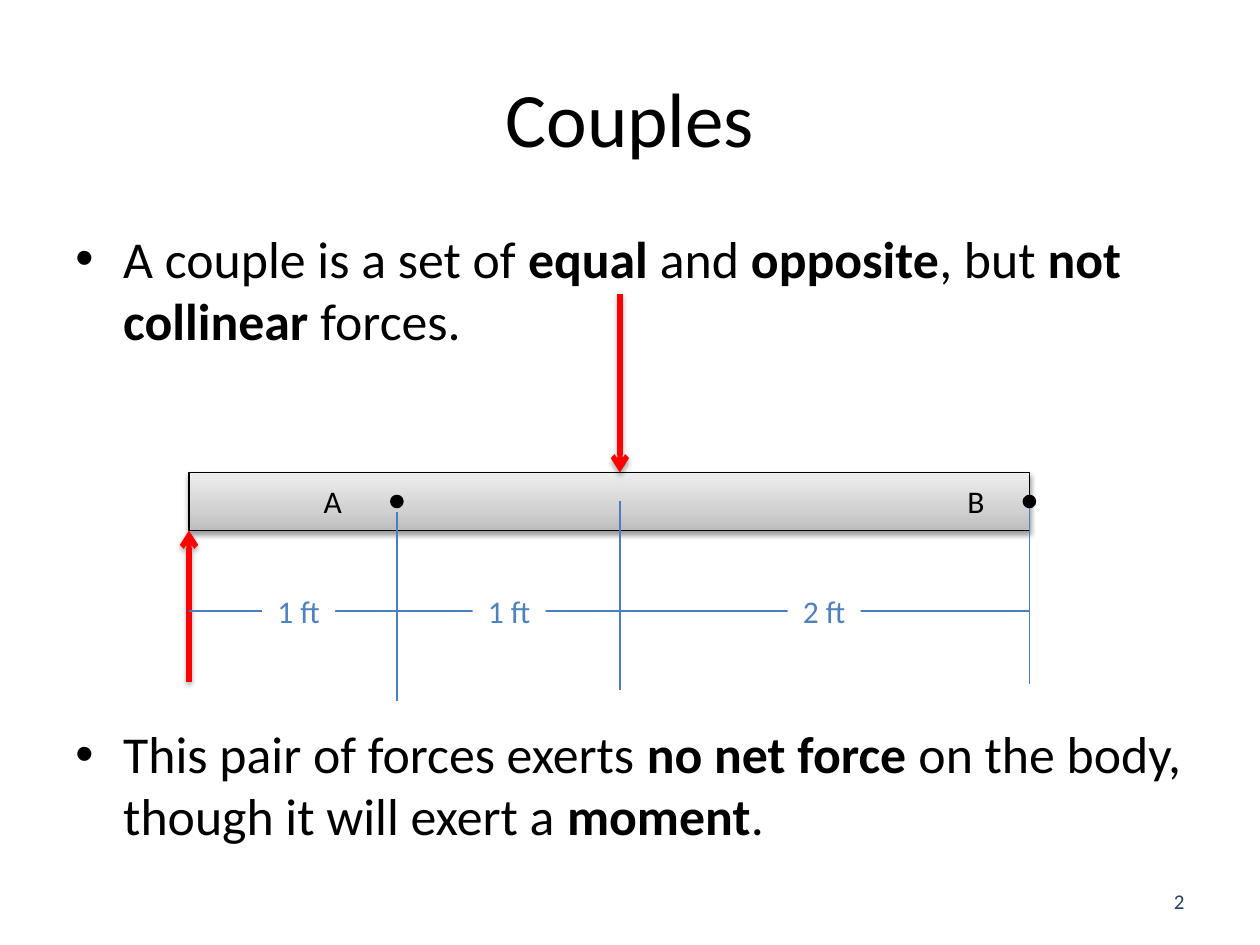
import copy

import pptx
import pptx.dml.color
import pptx.enum.shapes
import pptx.enum.text
import pptx.oxml
import pptx.oxml.ns
import pptx.util
from pptx.util import Inches

RGBColor = pptx.dml.color.RGBColor
SHAPE = pptx.enum.shapes.MSO_SHAPE
ALIGN = pptx.enum.text.PP_ALIGN
ANCHOR = pptx.enum.text.MSO_ANCHOR

BLACK = RGBColor(0, 0, 0)
WHITE = RGBColor(0xFF, 0xFF, 0xFF)
FORCE_RED = RGBColor(0xFF, 0, 0)
DIMENSION_BLUE = RGBColor(0x4B, 0x7E, 0xBC)
LABEL_BLUE = RGBColor(0x4F, 0x81, 0xBD)
NUMBER_BLUE = RGBColor(0x25, 0x40, 0x61)
BEAM_GRAYS = [(0, RGBColor(0xBD, 0xBD, 0xBD)),
              (0.35, RGBColor(0xD1, 0xD1, 0xD1)),
              (1, RGBColor(0xEE, 0xEE, 0xEE))]

FONT = "Calibri"
BODY_SIZE = 29.6
BEAM_LEFT, BEAM_RIGHT, BEAM_TOP, BEAM_HEIGHT = 1.5, 8.17, 3.75, 0.46
BEAM_BOTTOM = BEAM_TOP + BEAM_HEIGHT
POINT_A, MIDDLE = 3.15, 4.92
DIMENSION_Y = 4.85
EXTENSION_LENGTH = 1.5


def xml(tag, attributes="", content=""):
    namespace = pptx.oxml.ns.nsdecls("a")
    return pptx.oxml.parse_xml(f"<a:{tag} {namespace} {attributes}>{content}</a:{tag}>")


def set_effects(element, shadow_opacity=None, distance=0):
    """Replace inherited effects by a downward shadow, or by none."""
    shadow = ""
    if shadow_opacity:
        shadow = (f'<a:outerShdw blurRad="{pptx.util.Pt(3.1)}" dist="{pptx.util.Pt(distance)}" '
                  'dir="5400000" rotWithShape="0"><a:srgbClr val="000000">'
                  f'<a:alpha val="{shadow_opacity * 1000}"/></a:srgbClr></a:outerShdw>')
    element.spPr.append(xml("effectLst", content=shadow))


def add_runs(paragraph, parts, size, color):
    """Add (text, bold) parts as runs."""
    for text, bold in parts:
        run = paragraph.add_run()
        run.text = text
        run.font.name = FONT
        run.font.size = pptx.util.Pt(size)
        run.font.bold = bold
        run.font.color.rgb = color


def add_text(slide, box, text, size, color=BLACK, align=ALIGN.LEFT,
             anchor=ANCHOR.TOP, wrap=True):
    frame = slide.shapes.add_textbox(*map(Inches, box)).text_frame
    frame.word_wrap = wrap
    frame.vertical_anchor = anchor
    frame.paragraphs[0].alignment = align
    add_runs(frame.paragraphs[0], [(text, False)], size, color)


def add_bullets(slide, box, bullets, gap):
    frame = slide.shapes.add_textbox(*map(Inches, box)).text_frame
    frame.word_wrap = True
    for index, parts in enumerate(bullets):
        paragraph = frame.add_paragraph() if index else frame.paragraphs[0]
        if index:
            paragraph.space_before = pptx.util.Pt(gap)
        properties = paragraph._p.get_or_add_pPr()
        properties.set("marL", str(Inches(0.38)))
        properties.set("indent", str(Inches(-0.38)))
        properties.append(xml("buFont", 'typeface="Arial"'))
        properties.append(xml("buChar", 'char="•"'))
        add_runs(paragraph, parts, BODY_SIZE, BLACK)


def add_line(slide, start, end, color=DIMENSION_BLUE, width=0.75):
    line = slide.shapes.add_connector(pptx.enum.shapes.MSO_CONNECTOR.STRAIGHT,
                                      *map(Inches, start + end))
    line.line.color.rgb = color
    line.line.width = pptx.util.Pt(width)
    return line


def add_force(slide, start, end):
    force = add_line(slide, start, end, FORCE_RED, 3)
    force.line._get_or_add_ln().append(xml("tailEnd", 'type="arrow"'))
    set_effects(force._element, 35, 1.8)


def add_beam(slide):
    beam = slide.shapes.add_shape(SHAPE.RECTANGLE, *map(Inches, (
        BEAM_LEFT, BEAM_TOP, BEAM_RIGHT - BEAM_LEFT, BEAM_HEIGHT)))
    beam.fill.gradient()
    beam.fill.gradient_angle = 90
    first_stop = beam.fill.gradient_stops[0]._gs
    first_stop.addnext(copy.deepcopy(first_stop))
    for stop, (position, gray) in zip(beam.fill.gradient_stops, BEAM_GRAYS):
        stop.position = position
        stop.color.rgb = gray
    beam.line.color.rgb = BLACK
    beam.line.width = pptx.util.Pt(0.75)
    set_effects(beam._element, 38, 1.6)


def add_point(slide, center_x):
    size = 0.08
    point = slide.shapes.add_shape(SHAPE.OVAL, *map(Inches, (
        center_x - size / 2, 3.98 - size / 2, size, size)))
    point.shadow.inherit = False
    point.fill.solid()
    point.fill.fore_color.rgb = BLACK
    point.line.color.rgb = BLACK
    point.line.width = pptx.util.Pt(2)


def add_distance(slide, left, text):
    label = slide.shapes.add_shape(SHAPE.RECTANGLE,
                                   *map(Inches, (left, DIMENSION_Y - 0.2, 0.58, 0.4)))
    label.shadow.inherit = False
    label.fill.solid()
    label.fill.fore_color.rgb = WHITE
    label.line.fill.background()
    frame = label.text_frame
    frame.word_wrap = True
    frame.vertical_anchor = ANCHOR.TOP
    frame.paragraphs[0].alignment = ALIGN.CENTER
    add_runs(frame.paragraphs[0], [(text, False)], 18, LABEL_BLUE)


def main():
    presentation = pptx.Presentation()
    presentation.slide_width = Inches(10)
    presentation.slide_height = Inches(7.5)
    slide = presentation.slides.add_slide(presentation.slide_layouts[6])

    add_text(slide, (0.5, 0.3, 9, 1.25), "Couples", 44,
             align=ALIGN.CENTER, anchor=ANCHOR.MIDDLE)
    add_bullets(slide, (0.5, 1.75, 9, 4.95), [
        [("A couple is a set of ", False), ("equal", True), (" and ", False),
         ("opposite", True), (", but ", False), ("not collinear", True),
         (" forces.", False)],
        [("This pair of forces exerts ", False), ("no net force", True),
         (" on the body, though it will exert a ", False), ("moment", True),
         (".", False)],
    ], gap=212)
    add_text(slide, (7.17, 6.95, 2.33, 0.4), "2", 12, NUMBER_BLUE,
             ALIGN.RIGHT, ANCHOR.MIDDLE)

    add_beam(slide)
    add_force(slide, (BEAM_LEFT, 5.41), (BEAM_LEFT, BEAM_BOTTOM))
    add_force(slide, (MIDDLE, 2.33), (MIDDLE, BEAM_TOP))

    dimensions = [add_line(slide, (BEAM_RIGHT, DIMENSION_Y), (BEAM_LEFT, DIMENSION_Y))]
    for x, top in [(MIDDLE, 3.98), (BEAM_RIGHT, 3.93), (POINT_A, 4.06)]:
        dimensions.append(add_line(slide, (x, top), (x, top + EXTENSION_LENGTH)))
    for line in dimensions:
        set_effects(line._element)

    for x in (POINT_A, BEAM_RIGHT):
        add_point(slide, x)
    for name, left, width in [("A", 2.47, 0.4), ("B", 7.58, 0.36)]:
        add_text(slide, (left, 3.78, width, 0.4), name, 18, wrap=False)
    for left, text in [(2.08, "1 ft"), (3.75, "1 ft"), (6.25, "2 ft")]:
        add_distance(slide, left, text)

    presentation.save("out.pptx")


if __name__ == "__main__":
    main()
